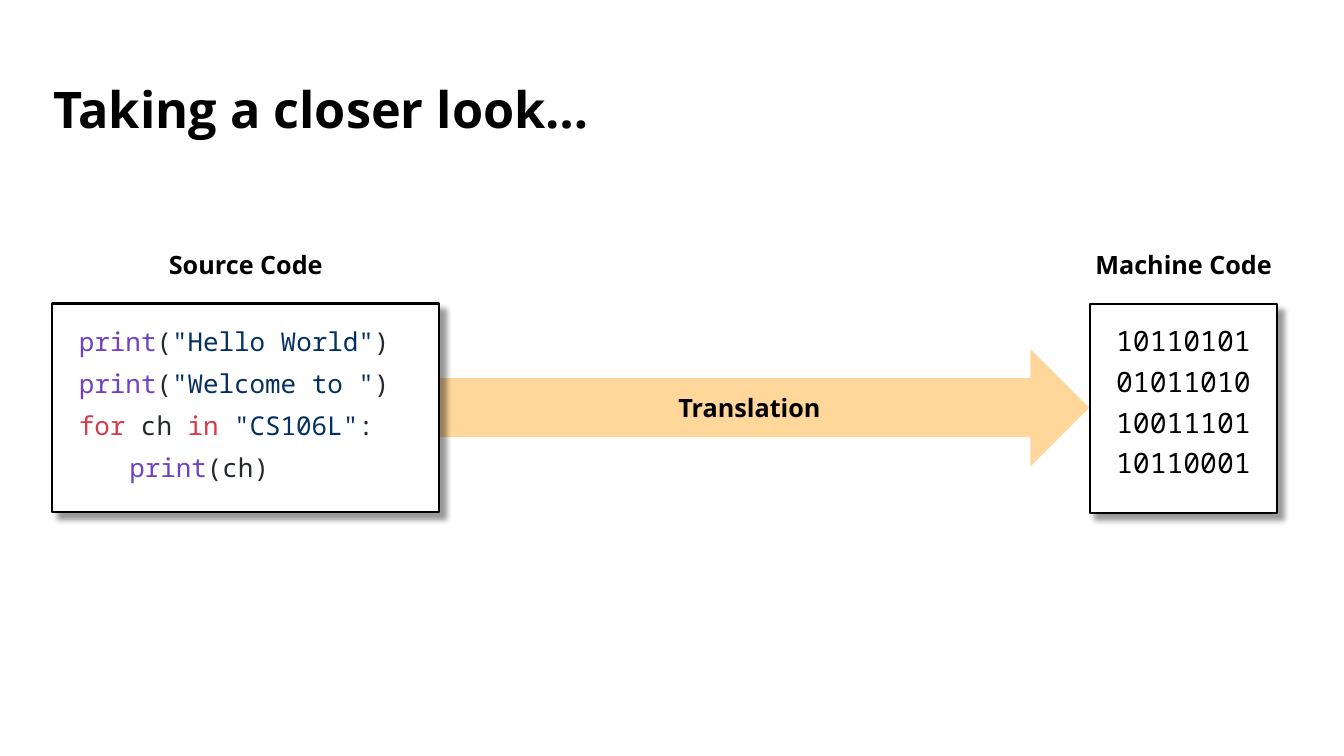
from lxml import etree
from pptx import Presentation, util as u
from pptx.dml.color import RGBColor
from pptx.enum import shapes, text
from pptx.oxml import ns

BLACK = RGBColor(0x00, 0x00, 0x00)
WHITE = RGBColor(0xFF, 0xFF, 0xFF)
ORANGE = RGBColor(0xFF, 0xD7, 0x9B)
PURPLE = RGBColor(0x6F, 0x42, 0xC1)
NAVY = RGBColor(0x03, 0x2F, 0x62)
RED = RGBColor(0xD7, 0x3A, 0x49)
GREY = RGBColor(0x24, 0x29, 0x2E)

SOURCE_LINES = [
    [("print", PURPLE), ("(", GREY), ('"Hello World"', NAVY), (")", GREY)],
    [("print", PURPLE), ("(", GREY), ('"Welcome to "', NAVY), (")", GREY)],
    [("for", RED), (" ch ", GREY), ("in", RED), (" ", GREY),
     ('"CS106L"', NAVY), (":", GREY)],
    [("\tprint", PURPLE), ("(ch)", GREY)],
]
MACHINE_LINES = [[(bits, BLACK)] for bits in
                 ("10110101", "01011010", "10011101", "10110001")]


def apply(target, values):
    for name, value in values.items():
        setattr(target, name, value)


def add_element(parent, tag, **attributes):
    return etree.SubElement(parent, ns.qn(tag), attributes)


class SlideBuilder:
    heading_font = "Open Sans"
    code_font = "Noto Sans Mono"
    label_size = 18

    def __init__(self, slide):
        self.slide = slide

    def heading(self, frame, words, size, **paragraph_format):
        apply(frame, {"word_wrap": True, "auto_size": text.MSO_AUTO_SIZE.NONE})
        paragraph = frame.paragraphs[0]
        apply(paragraph, paragraph_format)
        run = paragraph.add_run()
        run.text = words
        apply(run.font, {"name": self.heading_font, "size": u.Pt(size), "bold": True})
        run.font.color.rgb = BLACK

    def title(self, words, left, top, width, height):
        title = self.slide.shapes.title
        apply(title, {"left": u.Cm(left), "top": u.Cm(top),
                      "width": u.Cm(width), "height": u.Cm(height)})
        title.text_frame.vertical_anchor = text.MSO_ANCHOR.MIDDLE
        self.heading(title.text_frame, words, 36, line_spacing=0.9,
                     alignment=text.PP_ALIGN.LEFT)

    def arrow(self, words, *place):
        arrow = self.slide.shapes.add_shape(
            shapes.MSO_SHAPE.RIGHT_ARROW, *map(u.Cm, place))
        arrow.shadow.inherit = False
        arrow.fill.solid()
        arrow.fill.fore_color.rgb = ORANGE
        arrow.line.fill.background()
        arrow.text_frame.vertical_anchor = text.MSO_ANCHOR.MIDDLE
        self.heading(arrow.text_frame, words, self.label_size,
                     alignment=text.PP_ALIGN.CENTER)

    def label(self, group, words, *place):
        label = group.shapes.add_textbox(*map(u.Cm, place))
        self.heading(label.text_frame, words, self.label_size,
                     alignment=text.PP_ALIGN.CENTER)

    def drop_shadow(self, box):
        box.shadow.inherit = False
        effects = box._element.spPr.find(ns.qn("a:effectLst"))
        shadow = add_element(effects, "a:outerShdw", blurRad=str(u.Pt(4)),
                             dist=str(u.Pt(6)), dir="2700000",
                             algn="tl", rotWithShape="0")
        color = add_element(shadow, "a:srgbClr", val=str(BLACK))
        add_element(color, "a:alpha", val="40000")

    def code_box(self, group, lines, size, spacing, *place):
        box = group.shapes.add_shape(shapes.MSO_SHAPE.RECTANGLE, *map(u.Cm, place))
        self.drop_shadow(box)
        box.fill.solid()
        box.fill.fore_color.rgb = WHITE
        box.line.color.rgb = BLACK
        box.line.width = u.Pt(1.5)
        frame = box.text_frame
        apply(frame, {"word_wrap": True, "vertical_anchor": text.MSO_ANCHOR.TOP})
        apply(frame, dict.fromkeys(
            ("margin_left", "margin_top", "margin_right", "margin_bottom"), u.Cm(0.64)))
        for number, line in enumerate(lines):
            paragraph = frame.add_paragraph() if number else frame.paragraphs[0]
            apply(paragraph, {"alignment": text.PP_ALIGN.LEFT, "line_spacing": spacing,
                              "space_before": u.Pt(10 if number else 0)})
            properties = paragraph._p.get_or_add_pPr()
            properties.set("marL", str(u.Cm(0.03)))
            properties.set("indent", "0")
            if line[0][0].startswith("\t"):
                tabs = add_element(properties, "a:tabLst")
                add_element(tabs, "a:tab", pos=str(u.Cm(1.27)), algn="l")
            for words, color in line:
                run = paragraph.add_run()
                run.text = words
                apply(run.font, {"name": self.code_font, "size": u.Pt(size)})
                run.font.color.rgb = color


def main():
    deck = Presentation()
    apply(deck, {"slide_width": u.Cm(33.87), "slide_height": u.Cm(19.05)})
    builder = SlideBuilder(deck.slides.add_slide(deck.slide_layouts[5]))

    builder.title("Taking a closer look…", 1.09, 1.75, 31.67, 2.13)
    builder.arrow("Translation", 11.07, 8.79, 16.38, 2.97)

    source = builder.slide.shapes.add_group_shape()
    builder.code_box(source, SOURCE_LINES, 18.5, 0.9, 1.32, 7.65, 9.75, 5.26)
    builder.label(source, "Source Code", 1.32, 6.15, 9.75, 1.02)

    machine = builder.slide.shapes.add_group_shape()
    builder.code_box(machine, MACHINE_LINES, 20, 0.8, 27.46, 7.67, 4.72, 5.26)
    builder.label(machine, "Machine Code", 27.1, 6.15, 5.46, 1.02)

    deck.save("out.pptx")


if __name__ == "__main__":
    main()
